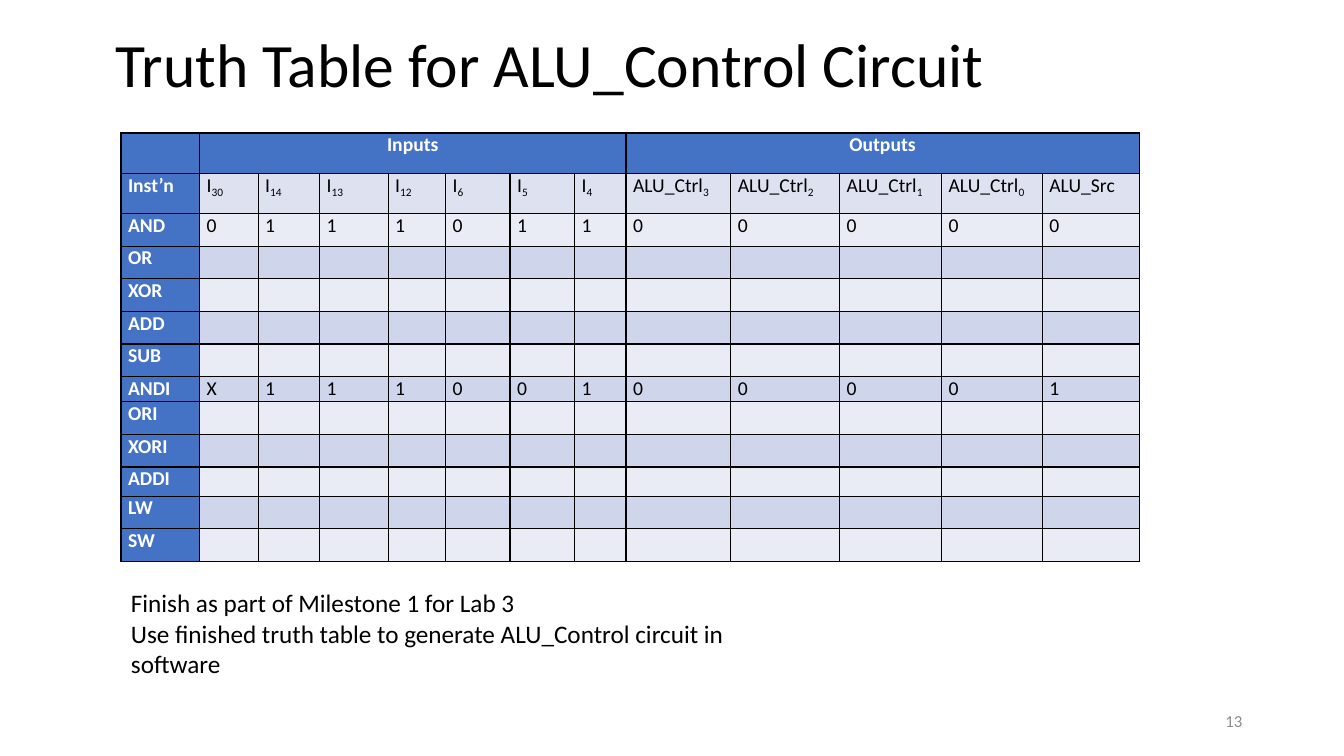
"""Build the ALU_Control truth table slide."""
from lxml.etree import SubElement
from pptx import Presentation
from pptx.dml.color import RGBColor as RGB
from pptx.enum.text import MSO_ANCHOR as ANCHOR, PP_ALIGN as ALIGN
from pptx.oxml.ns import qn
from pptx.util import Inches, Pt

COLORS = {"black": "000000", "white": "FFFFFF", "grey": "8C8C8C",
          "head": "4472C4", "dark": "CFD5EA", "light": "E9EBF5"}

deck = Presentation()
deck.slide_width, deck.slide_height = Inches(13.33), Inches(7.5)
slide = deck.slides.add_slide(deck.slide_layouts[6])
COL, ROW = deck.slide_width / 1333, deck.slide_height / 750


def add_run(paragraph, text, size, color="black", bold=False):
    run = paragraph.add_run()
    run.text = text
    font = run.font
    font.name, font.size, font.bold = "Calibri", Pt(size), bold
    font.color.rgb = RGB.from_string(COLORS[color])
    return run


def add_text(left, top, width, height, lines, size, color="black",
             align=ALIGN.LEFT, anchor=ANCHOR.MIDDLE, spacing=1.0):
    box = slide.shapes.add_textbox(int(left * COL), int(top * ROW),
                                   int(width * COL), int(height * ROW))
    frame = box.text_frame
    frame.word_wrap, frame.vertical_anchor = True, anchor
    for index, line in enumerate(lines):
        paragraph = frame.add_paragraph() if index else frame.paragraphs[0]
        paragraph.alignment, paragraph.line_spacing = align, spacing
        add_run(paragraph, line, size, color)


add_text(105, -6, 1150, 145, ["Truth Table for ALU_Control Circuit"], 44, spacing=0.9)

signals = [("I", bit) for bit in ("30", "14", "13", "12", "6", "5", "4")]
signals += [("ALU_Ctrl", bit) for bit in "3210"] + [("ALU_Src", "")]
instructions = ["AND", "OR", "XOR", "ADD", "SUB", "ANDI", "ORI", "XORI", "ADDI", "LW", "SW"]
known = {"AND": "011101100000", "ANDI": "X11100100001"}
groups = {1: ("Inputs", 7), 8: ("Outputs", 12)}

widths = [78, 58, 61, 68, 57, 64, 64, 51, 104, 108, 101, 100, 96]
special_heights = {0: 40, 1: 40, 7: 25, 10: 29}
row_count = len(instructions) + 2
usual_height = (425 - sum(special_heights.values())) / (row_count - len(special_heights))

truth = slide.shapes.add_table(row_count, len(widths), int(120 * COL), int(132 * ROW),
                               int(sum(widths) * COL), int(425 * ROW)).table
for column, width in zip(truth.columns, widths):
    column.width = int(width * COL)
for index, row in enumerate(truth.rows):
    row.height = int(special_heights.get(index, usual_height) * ROW)
for first, (_, last) in groups.items():
    truth.cell(0, first).merge(truth.cell(0, last))

for r in range(row_count):
    for c in range(len(widths)):
        cell = truth.cell(r, c)
        cell.margin_left = cell.margin_right = Inches(0.07)
        cell.margin_top = cell.margin_bottom = 0
        heading = r == 0 or c == 0
        name = instructions[r - 2] if r > 1 else "Inst’n"
        text, subscript = "", ""
        if r == 0:
            text = groups.get(c, ("", 0))[0]
        elif c == 0:
            text = name
        elif r == 1:
            text, subscript = signals[c - 1]
        elif name in known:
            text = known[name][c - 1]

        paragraph = cell.text_frame.paragraphs[0]
        paragraph.alignment = ALIGN.CENTER if r == 0 else ALIGN.LEFT
        if text:
            add_run(paragraph, text, 14, "white" if heading else "black", heading)
        else:
            SubElement(paragraph._p, qn("a:endParaRPr"), sz="1400")
        if subscript:
            add_run(paragraph, subscript, 14).font._element.set("baseline", "-25000")

        properties = cell._tc.get_or_add_tcPr()
        for side in ("a:lnL", "a:lnR", "a:lnT", "a:lnB"):
            border = SubElement(properties, qn(side), w=str(Pt(1)))
            ink = SubElement(border, qn("a:solidFill"))
            SubElement(ink, qn("a:srgbClr"), val=COLORS["black"])
        shade = "head" if heading else "dark" if r % 2 else "light"
        cell.fill.solid()
        cell.fill.fore_color.rgb = RGB.from_string(COLORS[shade])
        if r == 1 and not heading:
            tint = properties.find(qn("a:solidFill")).find(qn("a:srgbClr"))
            SubElement(tint, qn("a:alpha"), val="67000")

add_text(942, 695, 300, 40, ["13"], 12, "grey", ALIGN.RIGHT)
add_text(120, 578, 698, 71,
         ["Finish as part of Milestone 1 for Lab 3",
          "Use finished truth table to generate ALU_Control circuit in software"],
         18, anchor=ANCHOR.TOP)

deck.save("out.pptx")
